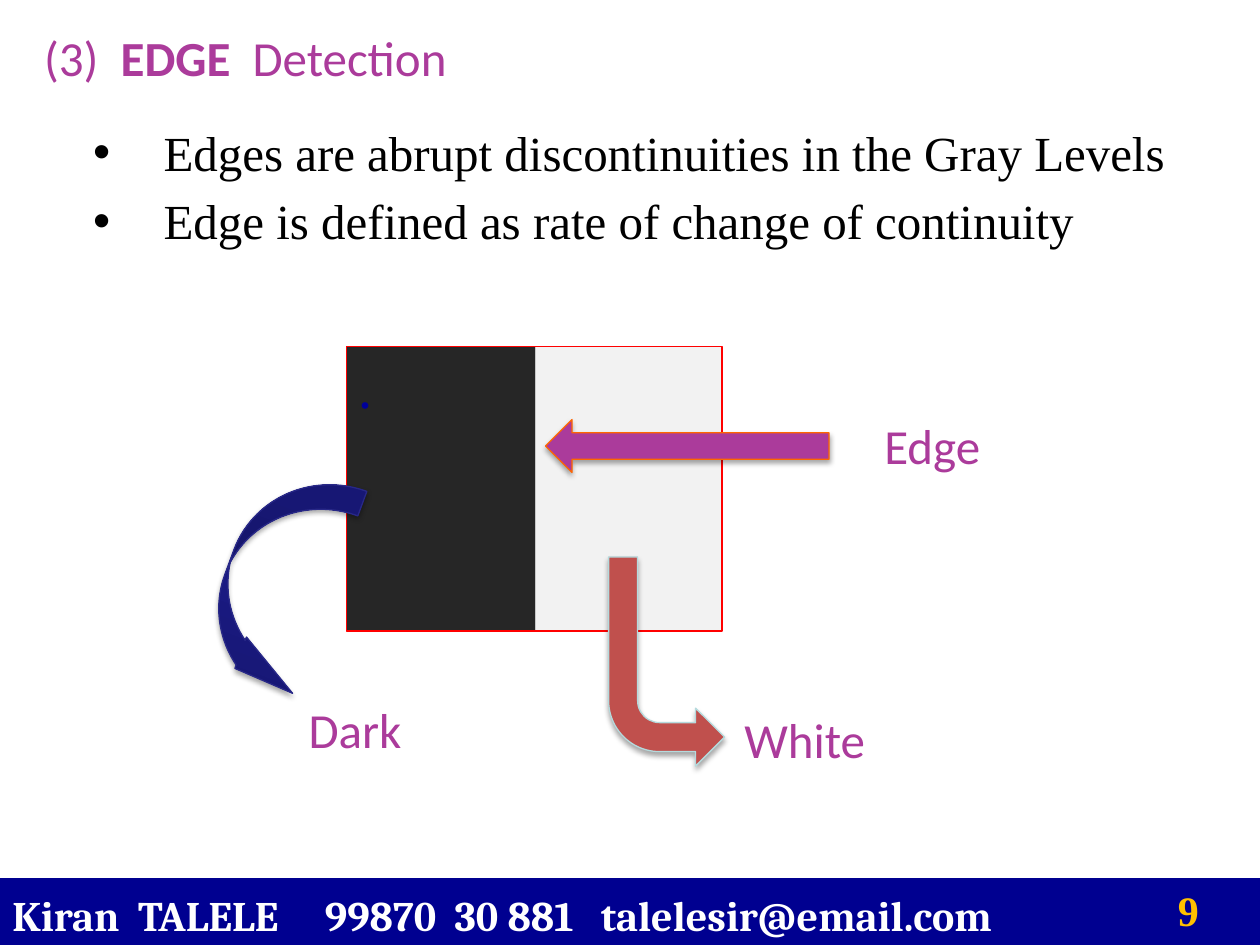
from lxml.etree import SubElement
from pptx import Presentation
from pptx.dml.color import RGBColor
from pptx.enum.shapes import MSO_SHAPE
from pptx.enum.text import MSO_ANCHOR, MSO_AUTO_SIZE, PP_ALIGN
from pptx.oxml.ns import qn
from pptx.util import Inches, Pt

COLORS = {
    "navy": "000090", "white": "FFFFFF", "gold": "FFC000", "purple": "AB3B9B",
    "black": "000000", "dark": "262626", "light": "F2F2F2", "red": "FF0000",
    "dot": "000099", "brick": "C0504D", "pale": "B5DADD", "orange": "FF6600",
    "indigo": "282888",
}
CURVE_STOPS = [(0, "16166F"), (80, "1D1D92"), (100, "1B1B95")]

LABEL = {"name": "Calibri", "size": Pt(28), "color": "purple"}
BODY = {"name": "Times New Roman", "size": Pt(28), "color": "black"}
FOOTER = {"name": "Cambria", "size": Pt(24), "color": "white", "bold": True}
NUMBER = {"name": "Times New Roman", "size": Pt(24), "color": "gold", "bold": True}
DOT = {"name": "Times New Roman", "size": Pt(32), "color": "dot"}


def rgb(name):
    return RGBColor.from_string(COLORS[name])


def add_xml(parent, tag, **attrs):
    return SubElement(parent, qn(tag), {k: str(v) for k, v in attrs.items()})


class SlideBuilder:
    """Holds the text style and the current slide."""

    frame = {"word_wrap": True, "auto_size": MSO_AUTO_SIZE.NONE,
             "margin_left": Inches(0.1), "margin_right": Inches(0.1),
             "margin_top": Inches(0.05), "margin_bottom": Inches(0.05)}

    def __init__(self, prs):
        self.s = prs.slides.add_slide(prs.slide_layouts[5])

    def run(self, p, text, fmt):
        r = p.add_run()
        r.text = text
        for key, value in fmt.items():
            if key == "color":
                r.font.color.rgb = rgb(value)
            else:
                setattr(r.font, key, value)

    def prepare(self, sp, anchor=MSO_ANCHOR.TOP):
        """Apply the common frame settings and return the first paragraph."""
        tf = sp.text_frame
        for key, value in self.frame.items():
            setattr(tf, key, value)
        tf.vertical_anchor = anchor
        p = tf.paragraphs[0]
        p.alignment = PP_ALIGN.LEFT
        return p

    def title(self, box, runs):
        sp = self.s.shapes.title
        sp.left, sp.top, sp.width, sp.height = map(Inches, box)
        p = self.prepare(sp)
        for text, bold in runs:
            self.run(p, text, {**LABEL, "bold": bold})

    def text(self, box, text, fmt):
        sp = self.s.shapes.add_textbox(*map(Inches, box))
        self.run(self.prepare(sp), text, fmt)

    def bullets(self, box, items, fmt):
        sp = self.s.shapes.add_textbox(*map(Inches, box))
        p = self.prepare(sp)
        for i, item in enumerate(items):
            if i:
                p = sp.text_frame.add_paragraph()
                p.space_before = Pt(5.6)
            pPr = p._p.get_or_add_pPr()
            pPr.set("marL", str(Inches(1.12)))
            pPr.set("indent", str(Inches(-0.56)))
            add_xml(add_xml(pPr, "a:buClr"), "a:srgbClr", val=COLORS[fmt["color"]])
            add_xml(pPr, "a:buFont", typeface="Arial")
            add_xml(pPr, "a:buChar", char="•")
            self.run(p, item, fmt)

    def shape(self, kind, box, fill=None, line=None):
        sp = self.s.shapes.add_shape(kind, *map(Inches, box))
        sp.shadow.inherit = False
        if fill:
            sp.fill.solid()
            sp.fill.fore_color.rgb = rgb(fill)
        else:
            sp.fill.background()
        if line:
            sp.line.color.rgb = rgb(line)
            sp.line.width = Pt(0.75)
        else:
            sp.line.fill.background()
        return sp

    def arrow(self, kind, box, fill, line, adj, rotation=0, flip=False):
        sp = self.shape(kind, box, fill, line)
        for i, value in enumerate(adj):
            sp.adjustments[i] = value
        sp.rotation = rotation
        spPr = sp._element.spPr
        if flip:
            spPr.find(qn("a:xfrm")).set("flipH", "1")
        shadow = add_xml(spPr.find(qn("a:effectLst")), "a:outerShdw",
                         blurRad=Pt(3.1), dist=Pt(1.8), dir=90 * 60000,
                         rotWithShape=0)
        color = add_xml(shadow, "a:srgbClr", val=COLORS["black"])
        add_xml(color, "a:alpha", val=35000)
        return sp

    def gradient(self, sp, stops):
        sp.fill.gradient()
        sp.fill.gradient_angle = 90
        gs_list = sp._element.spPr.find(qn("a:gradFill")).find(qn("a:gsLst"))
        for gs in list(gs_list):
            gs_list.remove(gs)
        for pos, color in stops:
            gs = add_xml(gs_list, "a:gs", pos=pos * 1000)
            add_xml(gs, "a:srgbClr", val=color)

    def footer(self, box, columns, stops):
        sp = self.shape(MSO_SHAPE.RECTANGLE, box, "navy")
        p = self.prepare(sp, MSO_ANCHOR.MIDDLE)
        sp.text_frame.margin_top = sp.text_frame.margin_bottom = 0
        tabs = add_xml(p._p.get_or_add_pPr(), "a:tabLst")
        for stop in stops:
            add_xml(tabs, "a:tab", pos=Inches(stop), algn="l")
        self.run(p, "\t".join(columns), FOOTER)


def main():
    prs = Presentation()
    prs.slide_width, prs.slide_height = Inches(10), Inches(7.5)
    b = SlideBuilder(prs)

    b.footer((0, 6.97, 10, 0.58),
             ["Kiran  TALELE", "99870  30 881", "talelesir@email.com"],
             [2.48, 4.67])
    b.text((9.25, 6.97, 0.67, 0.61), "9", NUMBER)
    b.title((0.25, 0.17, 4.58, 0.67),
            [("(3)  ", False), ("EDGE", True), ("  Detection", False)])
    b.bullets((0.08, 0.92, 9.67, 1.42),
              ["Edges are abrupt discontinuities in the Gray Levels",
               "Edge is defined as rate of change of continuity"], BODY)

    # Dark and light halves share one red frame
    left, top, height = 2.75, 2.75, 2.26
    dark_w, light_w = 1.5, 1.48
    dark = b.shape(MSO_SHAPE.RECTANGLE, (left, top, dark_w, height), "dark")
    b.run(b.prepare(dark), ".", DOT)
    b.shape(MSO_SHAPE.RECTANGLE, (left + dark_w, top, light_w, height), "light")
    b.shape(MSO_SHAPE.RECTANGLE, (left, top, dark_w + light_w, height), line="red")

    for text, box in [("Dark", (2.35, 5.5, 1.15, 0.67)),
                      ("White", (5.81, 5.58, 1.44, 0.67)),
                      ("Edge", (6.92, 3.25, 1.44, 0.67))]:
        b.text(box, text, LABEL)

    b.arrow(MSO_SHAPE.BENT_ARROW, (4.83, 4.42, 0.92, 1.66), "brick", "pale",
            [0.25, 0.25, 0.25, 0.44], rotation=180, flip=True)
    b.arrow(MSO_SHAPE.LEFT_ARROW, (4.33, 3.33, 2.25, 0.42), "purple", "orange",
            [0.5, 0.5])
    curve = b.arrow(MSO_SHAPE.CURVED_LEFT_ARROW, (1.79, 3.7, 0.83, 1.84), "navy",
                    "indigo", [0.25, 0.32, 0.6], rotation=20.2, flip=True)
    b.gradient(curve, CURVE_STOPS)

    prs.save("out.pptx")


if __name__ == "__main__":
    main()
